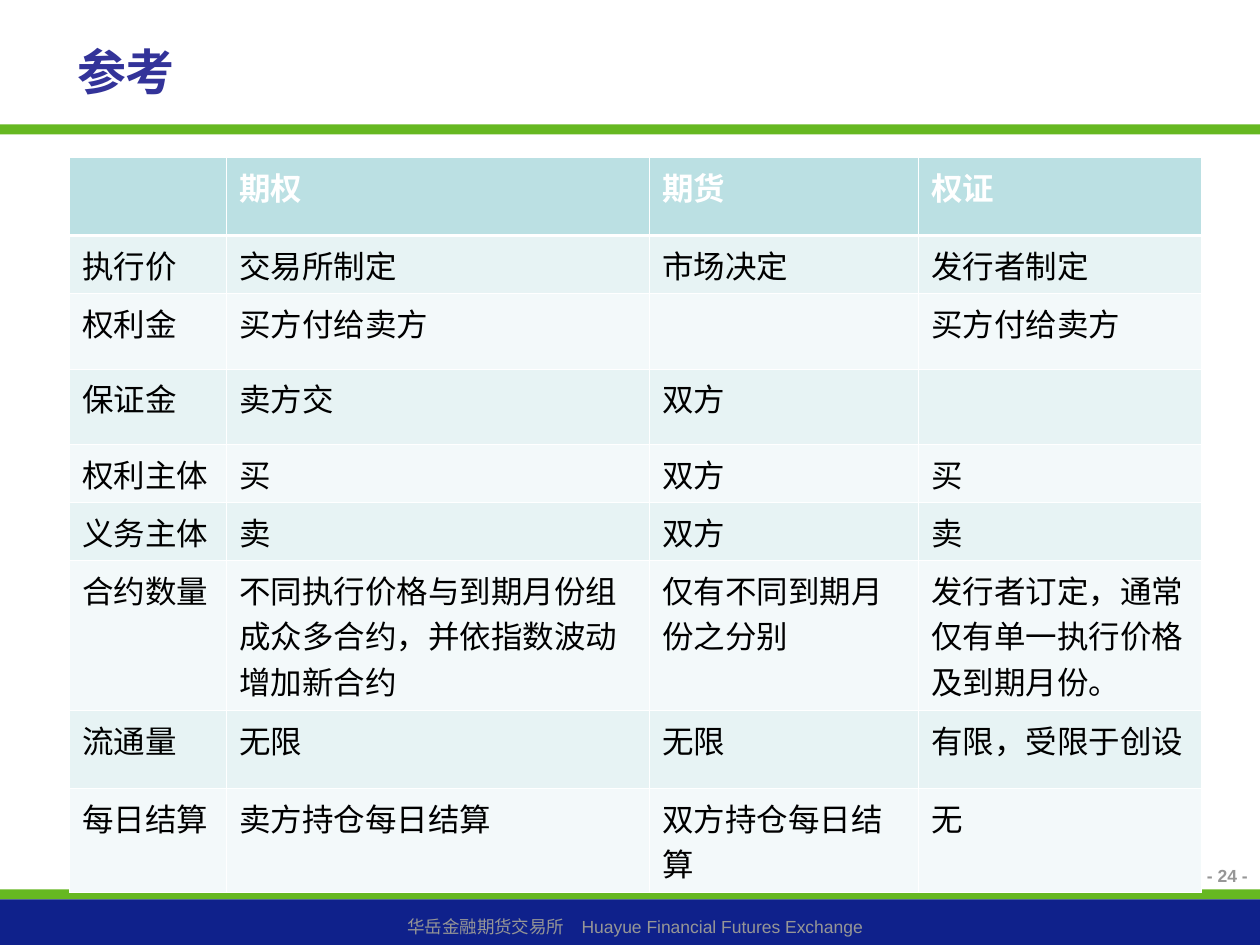
"""Build a reference slide comparing options, futures and warrants."""
from typing import NamedTuple

from lxml.etree import SubElement
from pptx import Presentation
from pptx.dml.color import RGBColor
from pptx.enum.shapes import MSO_SHAPE
from pptx.enum.text import MSO_ANCHOR, PP_ALIGN
from pptx.oxml.ns import qn
from pptx.util import Cm, Pt

FONT = "Arial"
GREEN, NAVY, INDIGO = "66B821", "0F218B", "333399"
WHITE, BLACK, GREY = "FFFFFF", "000000", "969696"
HEADER_FILL, BAND_FILLS = "BBE0E3", ("F3F9FA", "E7F3F4")
THIN, THICK = 0.45, 1.47


class Band(NamedTuple):
    top: float
    height: float
    fill: str


class Note(NamedTuple):
    text: str
    left: float
    top: float
    width: float
    height: float
    align: PP_ALIGN
    bold: bool


class Row(NamedTuple):
    height: float
    texts: tuple[str, str, str, str]


BANDS = (
    Band(17.93, 0.2, GREEN),
    Band(2.51, 0.2, GREEN),
    Band(18.13, 0.92, NAVY),
)
NOTES = (
    Note("华岳金融期货交易所　Huayue Financial Futures Exchange",
         0.2, 18.34, 25.2, 0.69, PP_ALIGN.CENTER, False),
    Note("- 24 -", 20.4, 17.32, 5, 0.91, PP_ALIGN.RIGHT, True),
)
COLUMN_WIDTHS = (3.17, 8.53, 5.42, 5.7)
ROWS = (
    Row(1.57, ("", "期权", "期货", "权证")),
    Row(1.17, ("执行价", "交易所制定", "市场决定", "发行者制定")),
    Row(1.52, ("权利金", "买方付给卖方", "", "买方付给卖方")),
    Row(1.52, ("保证金", "卖方交", "双方", "")),
    Row(1.17, ("权利主体", "买", "双方", "买")),
    Row(1.17, ("义务主体", "卖", "双方", "卖")),
    Row(3.02, ("合约数量", "不同执行价格与到期月份组成众多合约，并依指数波动增加新合约",
               "仅有不同到期月份之分别", "发行者订定，通常仅有单一执行价格及到期月份。")),
    Row(1.57, ("流通量", "无限", "无限", "有限，受限于创设")),
    Row(2.1, ("每日结算", "卖方持仓每日结算", "双方持仓每日结算", "无")),
)


def rgb(color: str) -> RGBColor:
    """Turn a hex string into a colour."""
    return RGBColor.from_string(color)


def format_runs(frame, size: float, color: str, bold: bool) -> None:
    """Apply one font style to every run of a text frame."""
    for paragraph in frame.paragraphs:
        for run in paragraph.runs:
            run.font.name = FONT
            run.font.size = Pt(size)
            run.font.bold = bold
            run.font.color.rgb = rgb(color)


def draw_title(slide, text: str) -> None:
    """Fill and place the title placeholder."""
    title = slide.shapes.title
    title.left, title.top, title.width, title.height = Cm(1.3), Cm(0.53), Cm(17.6), Cm(1.8)
    frame = title.text_frame
    frame.text = text
    frame.vertical_anchor = MSO_ANCHOR.MIDDLE
    frame.paragraphs[0].alignment = PP_ALIGN.LEFT
    format_runs(frame, 28, INDIGO, True)


def draw_band(slide, band: Band, width: int) -> None:
    """Draw a coloured band across the slide."""
    stripe = slide.shapes.add_shape(
        MSO_SHAPE.RECTANGLE, 0, Cm(band.top), width, Cm(band.height))
    stripe.shadow.inherit = False
    stripe.fill.solid()
    stripe.fill.fore_color.rgb = rgb(band.fill)
    stripe.line.fill.background()


def draw_note(slide, note: Note) -> None:
    """Draw a small grey footer text."""
    frame = slide.shapes.add_textbox(
        Cm(note.left), Cm(note.top), Cm(note.width), Cm(note.height)).text_frame
    frame.word_wrap = True
    frame.text = note.text
    frame.paragraphs[0].alignment = note.align
    format_runs(frame, 10, GREY, note.bold)


def set_borders(cell, top: float, bottom: float) -> None:
    """Give a cell white borders, which must precede its fill."""
    properties = cell._tc.get_or_add_tcPr()
    for side, width in (("L", THIN), ("R", THIN), ("T", top), ("B", bottom)):
        edge = SubElement(properties, qn(f"a:ln{side}"), w=str(Pt(width)))
        fill = SubElement(edge, qn("a:solidFill"))
        SubElement(fill, qn("a:srgbClr"), val=WHITE)


def draw_table(slide, left: float, top: float) -> None:
    """Draw the comparison table with banded rows."""
    table = slide.shapes.add_table(
        len(ROWS), len(COLUMN_WIDTHS), Cm(left), Cm(top),
        Cm(sum(COLUMN_WIDTHS)), Cm(sum(row.height for row in ROWS))).table
    for column, width in zip(table.columns, COLUMN_WIDTHS):
        column.width = Cm(width)
    for index, row in enumerate(ROWS):
        header = index == 0
        table.rows[index].height = Cm(row.height)
        for cell, text in zip(table.rows[index].cells, row.texts):
            set_borders(cell, THICK if index == 1 else THIN, THICK if header else THIN)
            cell.fill.solid()
            cell.fill.fore_color.rgb = rgb(HEADER_FILL if header else BAND_FILLS[index % 2])
            cell.text_frame.text = text
            format_runs(cell.text_frame, 18, WHITE if header else BLACK, header)


def main() -> None:
    """Assemble and save the slide."""
    deck = Presentation()
    deck.slide_width, deck.slide_height = Cm(25.4), Cm(19.05)
    slide = deck.slides.add_slide(deck.slide_layouts[5])
    draw_title(slide, "参考")
    for band in BANDS:
        draw_band(slide, band, deck.slide_width)
    for note in NOTES:
        draw_note(slide, note)
    draw_table(slide, 1.4, 3.18)
    deck.save("out.pptx")


if __name__ == "__main__":
    main()
